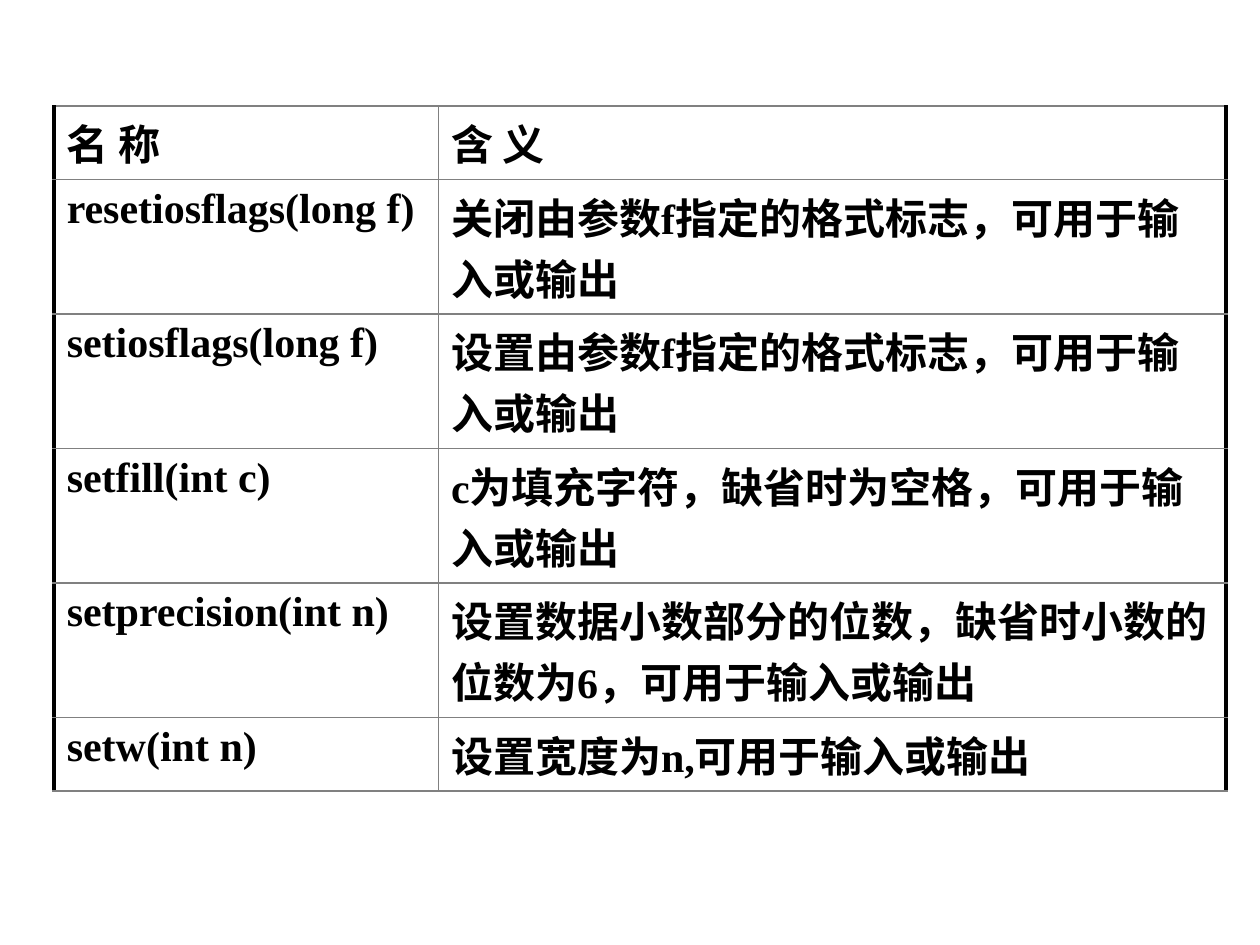
from lxml.etree import SubElement
from pptx import Presentation
from pptx.dml.color import RGBColor
from pptx.enum.lang import MSO_LANGUAGE_ID as LANG
from pptx.oxml.ns import qn
from pptx.util import Inches, Pt

COLORS = {"text": "000000", "edge": "000000", "grid": "808080"}
FONT = "Times New Roman"
ROWS = [
    ("名 称", "含 义"),
    ("resetiosflags(long f)", "关闭由参数f指定的格式标志，可用于输入或输出"),
    ("setiosflags(long f)", "设置由参数f指定的格式标志，可用于输入或输出"),
    ("setfill(int c)", "c为填充字符，缺省时为空格，可用于输入或输出"),
    ("setprecision(int n)", "设置数据小数部分的位数，缺省时小数的位数为6，可用于输入或输出"),
    ("setw(int n)", "设置宽度为n,可用于输入或输出"),
]
COL_WIDTHS = [3.05, 6.25]
ROW_HEIGHTS = [0.5, 0.9, 0.9, 0.9, 0.9, 0.5]


def add_border(tc_pr, index, side, color, width):
    ln = SubElement(tc_pr, qn(f"a:ln{side}"), w=str(Pt(width)))
    fill = SubElement(ln, qn("a:solidFill"))
    SubElement(fill, qn("a:srgbClr"), val=color)
    tc_pr.insert(index, ln)


prs = Presentation()
prs.slide_width, prs.slide_height = Inches(10), Inches(7.5)
s = prs.slides.add_slide(prs.slide_layouts[6])

frame = s.shapes.add_table(
    len(ROWS), len(COL_WIDTHS), Inches(0.43), Inches(0.84),
    Inches(sum(COL_WIDTHS)), Inches(sum(ROW_HEIGHTS)))
table = frame.table
table.first_row = False
table.horz_banding = False
for col, width in zip(table.columns, COL_WIDTHS):
    col.width = Inches(width)
for row, height in zip(table.rows, ROW_HEIGHTS):
    row.height = Inches(height)

for i, texts in enumerate(ROWS):
    for j, text in enumerate(texts):
        cell = table.cell(i, j)
        cell.margin_left = cell.margin_right = Inches(0.1)
        cell.margin_top = cell.margin_bottom = Inches(0.05)
        cell.fill.background()

        p = cell.text_frame.paragraphs[0]
        before = SubElement(p._p.get_or_add_pPr(), qn("a:spcBef"))
        SubElement(before, qn("a:spcPct"), val="20000")
        r = p.add_run()
        r.text = text
        r.font.name = FONT
        r.font.size = Pt(24)
        r.font.bold = True
        r.font.language_id = LANG.SIMPLIFIED_CHINESE
        r.font.color.rgb = RGBColor.from_string(COLORS["text"])

        outer = "L" if j == 0 else "R"
        tc_pr = cell._tc.get_or_add_tcPr()
        for k, side in enumerate("LRTB"):
            if side == outer:
                add_border(tc_pr, k, side, COLORS["edge"], 2.25)
            else:
                add_border(tc_pr, k, side, COLORS["grid"], 1)

prs.save("out.pptx")
